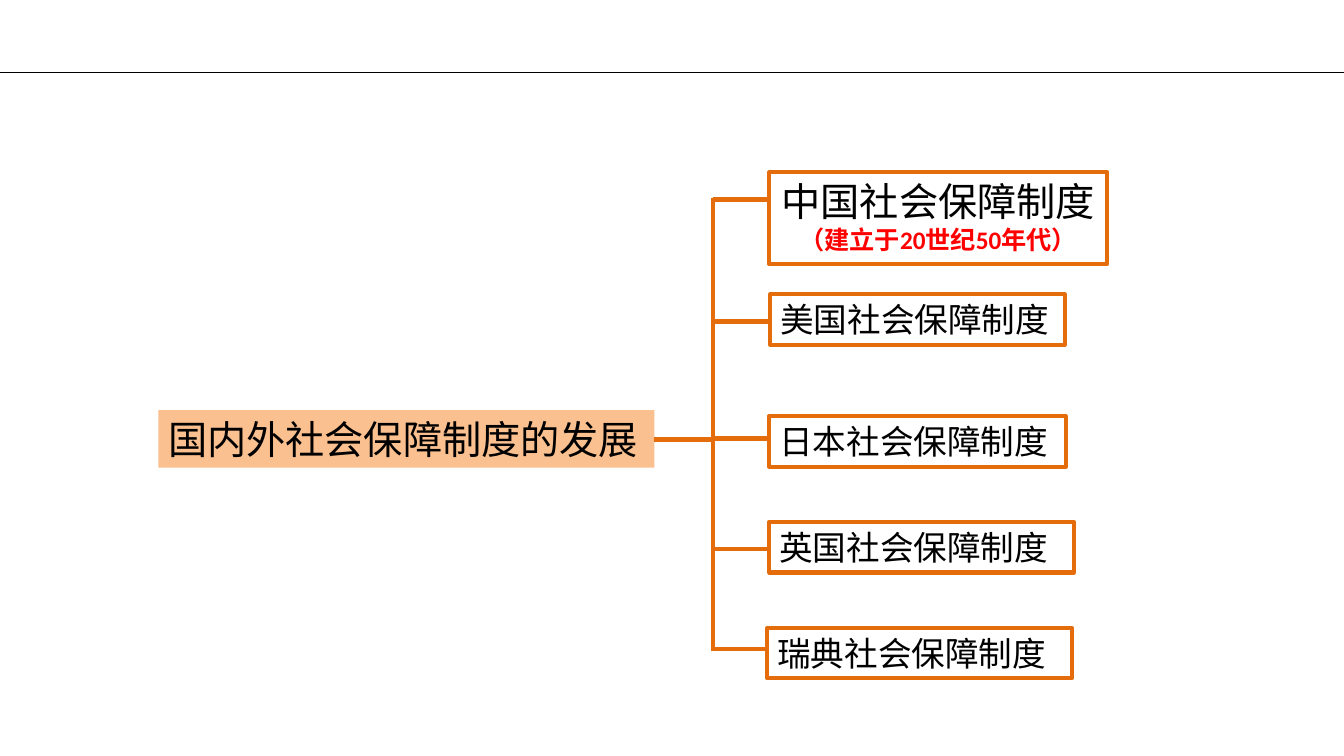
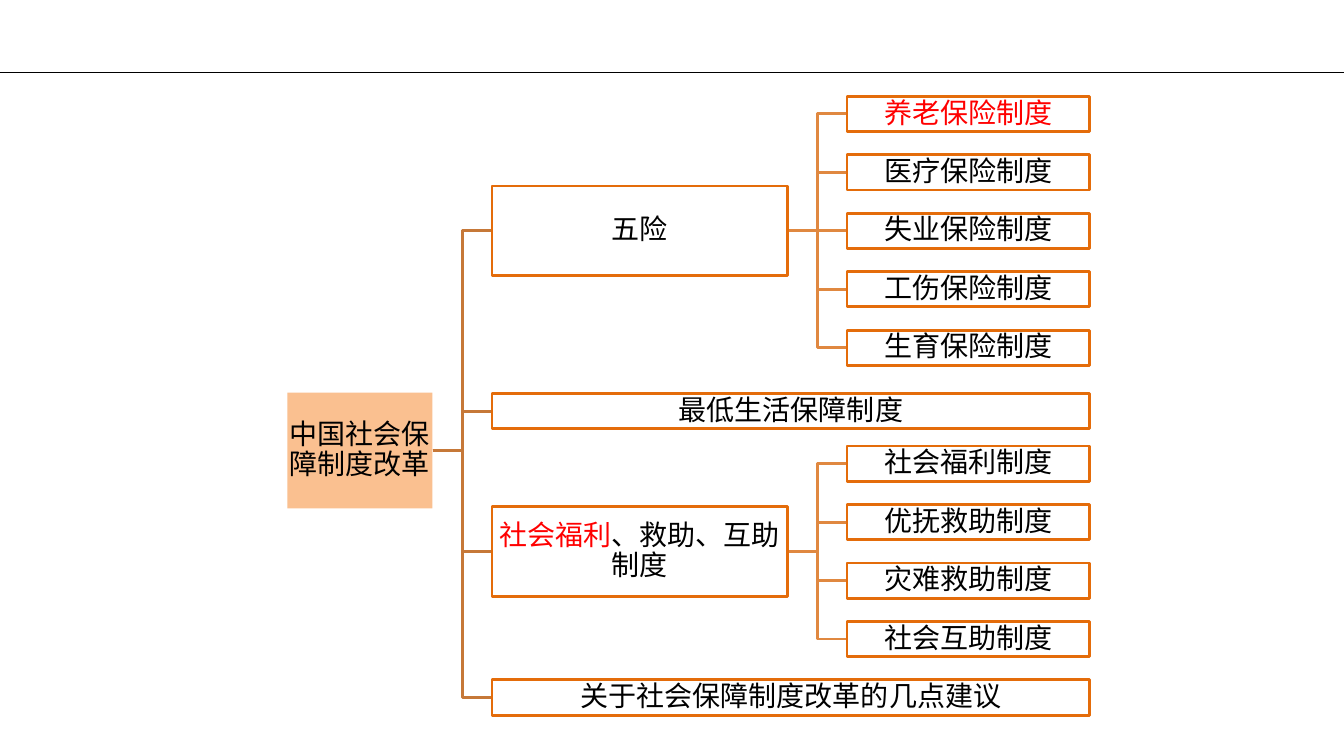
from dataclasses import dataclass

from lxml.etree import SubElement
from pptx import Presentation
from pptx.dml.color import RGBColor
from pptx.enum.shapes import MSO_CONNECTOR, MSO_SHAPE
from pptx.enum.text import MSO_ANCHOR, PP_ALIGN
from pptx.oxml.ns import qn
from pptx.util import Inches, Pt

FONT = "Calibri"
COLORS = {
    "text": "000000",
    "accent": "FF0000",
    "root": "FAC090",
    "border": "E46C0A",
    "branch_link": "C67838",
    "leaf_link": "E08840",
}


@dataclass(frozen=True)
class Span:
    text: str
    size: float = 20
    color: str = "text"
    bold: bool = False


@dataclass(frozen=True)
class Box:
    left: float
    top: float
    width: float
    height: float
    paragraphs: tuple[tuple[Span, ...], ...]
    align: PP_ALIGN = PP_ALIGN.CENTER
    border: float = 2  # points; 0 means a filled root box
    compact: bool = True  # tight margins, middle anchor

    @property
    def middle(self) -> float:
        return self.top + self.height / 2

    @property
    def right(self) -> float:
        return self.left + self.width


@dataclass(frozen=True)
class Country:
    paragraphs: tuple[tuple[Span, ...], ...]
    left: float
    top: float
    width: float
    link_y: float
    height: float = 0.5
    align: PP_ALIGN = PP_ALIGN.LEFT


@dataclass(frozen=True)
class Branch:
    spans: tuple[Span, ...]
    middle: float
    leaves: tuple[Span, ...] = ()


def rgb(name: str) -> RGBColor:
    return RGBColor.from_string(COLORS[name])


# Drawing helpers
def draw_box(slide, box: Box) -> None:
    sp = slide.shapes.add_shape(
        MSO_SHAPE.RECTANGLE, Inches(box.left), Inches(box.top),
        Inches(box.width), Inches(box.height))
    sp.shadow.inherit = False
    if box.border:
        sp.fill.background()
        sp.line.color.rgb = rgb("border")
        sp.line.width = Pt(box.border)
    else:
        sp.fill.solid()
        sp.fill.fore_color.rgb = rgb("root")
        sp.line.fill.background()

    tf = sp.text_frame
    tf.word_wrap = True
    tf.vertical_anchor = MSO_ANCHOR.MIDDLE if box.compact else MSO_ANCHOR.TOP
    if box.compact:
        tf.margin_left = tf.margin_right = Inches(0.01)
        tf.margin_top = tf.margin_bottom = Inches(0.01)
    for i, spans in enumerate(box.paragraphs):
        p = tf.add_paragraph() if i else tf.paragraphs[0]
        p.alignment = box.align
        if box.compact:
            p.line_spacing = 0.9
        for span in spans:
            r = p.add_run()
            r.text = span.text
            r.font.name = FONT
            r.font.size = Pt(span.size)
            r.font.bold = span.bold
            r.font.color.rgb = rgb(span.color)


def draw_line(slide, x1: float, y1: float, x2: float, y2: float,
              color: str = "border", width: float = 3) -> None:
    line = slide.shapes.add_connector(
        MSO_CONNECTOR.STRAIGHT, Inches(x1), Inches(y1), Inches(x2), Inches(y2))
    line.line.color.rgb = rgb(color)
    line.line.width = Pt(width)
    SubElement(line._element.spPr, qn("a:effectLst"))


def draw_link(slide, parent: Box, child: Box, color: str) -> None:
    """Join two boxes with an elbow that turns halfway across the gap."""
    x1, y1, x2, y2 = parent.right, parent.middle, child.left, child.middle
    if abs(y1 - y2) < 0.01:
        draw_line(slide, x1, y1, x2, y1, color, 2)
        return
    bend = (x1 + x2) / 2
    builder = slide.shapes.build_freeform(Inches(x1), Inches(y1))
    builder.add_line_segments(
        [(Inches(x), Inches(y)) for x, y in ((bend, y1), (bend, y2), (x2, y2))],
        close=False)
    sp = builder.convert_to_shape()
    sp.shadow.inherit = False
    sp.fill.background()
    sp.line.color.rgb = rgb(color)
    sp.line.width = Pt(2)


def new_slide(prs):
    slide = prs.slides.add_slide(prs.slide_layouts[6])
    draw_line(slide, 0, 0.72, 13.33, 0.72, "text", 1)  # header rule
    return slide


# Slide 1: systems by country
def name(text: str) -> tuple[tuple[Span, ...], ...]:
    return ((Span(text, 24),),)


COUNTRIES = (
    Country(((Span("中国社会保障制度", 28),),
             (Span("（建立于20世纪50年代）", 18, "accent", True),)),
            7.63, 1.71, 3.35, 1.98, 0.91, PP_ALIGN.CENTER),
    Country(name("美国社会保障制度"), 7.64, 2.92, 2.92, 3.19),
    Country(name("日本社会保障制度"), 7.63, 4.13, 2.94, 4.35),
    Country(name("英国社会保障制度"), 7.63, 5.18, 3.02, 5.45),
    Country(name("瑞典社会保障制度"), 7.61, 6.23, 3.02, 6.44),
)


def build_countries(prs) -> None:
    slide = new_slide(prs)
    trunk_x = 7.07
    root = Box(1.57, 4.07, 4.92, 0.57, ((Span("国内外社会保障制度的发展", 28),),),
               PP_ALIGN.LEFT, border=0, compact=False)
    draw_box(slide, root)
    draw_line(slide, root.right, 4.36, trunk_x, 4.36)
    draw_line(slide, trunk_x, 1.96, trunk_x, 6.46)
    for c in COUNTRIES:
        draw_line(slide, trunk_x, c.link_y, c.left, c.link_y)
        draw_box(slide, Box(c.left, c.top, c.width, c.height, c.paragraphs,
                            c.align, border=3, compact=False))


# Slide 2: reform tree
BRANCH_X, BRANCH_W, BRANCH_H = 4.88, 2.93, 0.89
LEAF_X, LEAF_W, LEAF_H, LEAF_PITCH = 8.4, 2.41, 0.35, 0.58
BRANCHES = (
    Branch((Span("五险"),), 2.29, (
        Span("养老保险制度", color="accent"), Span("医疗保险制度"),
        Span("失业保险制度"), Span("工伤保险制度"), Span("生育保险制度"))),
    Branch((Span("最低生活保障制度"),), 4.08),
    Branch((Span("社会福利", color="accent"), Span("、救助、互助制度")), 5.47, (
        Span("社会福利制度"), Span("优抚救助制度"),
        Span("灾难救助制度"), Span("社会互助制度"))),
    Branch((Span("关于社会保障制度改革的几点建议"),), 6.92),
)


def centred(left: float, middle: float, width: float, height: float,
            spans: tuple[Span, ...], border: float = 2) -> Box:
    return Box(left, middle - height / 2, width, height, (spans,), border=border)


def build_reform_tree(prs) -> None:
    slide = new_slide(prs)
    root = centred(2.85, 4.47, 1.44, 1.15, (Span("中国社会保障制度改革"),), border=0)
    draw_box(slide, root)
    for b in BRANCHES:
        # A branch without leaves spans both columns
        width = BRANCH_W if b.leaves else LEAF_X + LEAF_W - BRANCH_X
        height = BRANCH_H if b.leaves else LEAF_H
        branch = centred(BRANCH_X, b.middle, width, height, b.spans)
        draw_link(slide, root, branch, "branch_link")
        first = b.middle - LEAF_PITCH * (len(b.leaves) - 1) / 2
        for i, span in enumerate(b.leaves):
            leaf = centred(LEAF_X, first + i * LEAF_PITCH, LEAF_W, LEAF_H, (span,))
            draw_link(slide, branch, leaf, "leaf_link")
            draw_box(slide, leaf)
        draw_box(slide, branch)


def main() -> None:
    prs = Presentation()
    prs.slide_width, prs.slide_height = Inches(13.33), Inches(7.5)
    build_countries(prs)
    build_reform_tree(prs)
    prs.save("out.pptx")


if __name__ == "__main__":
    main()
